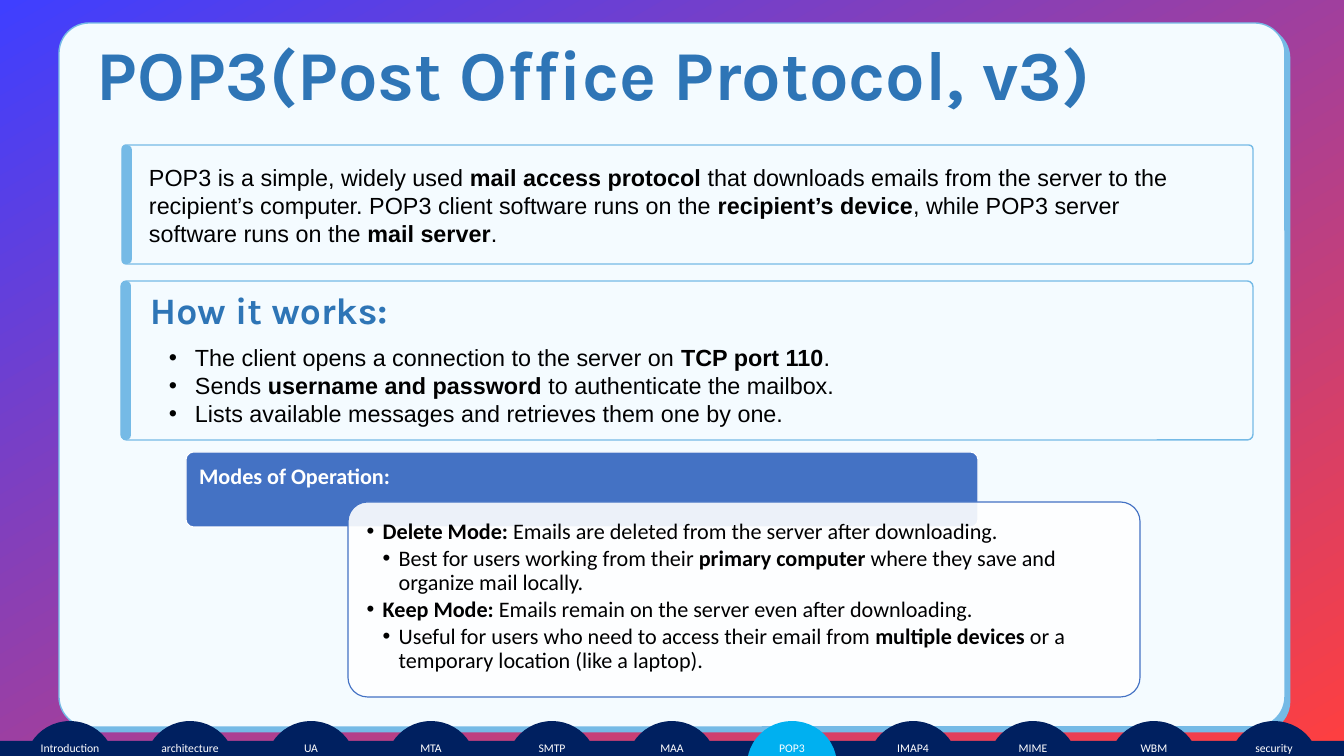
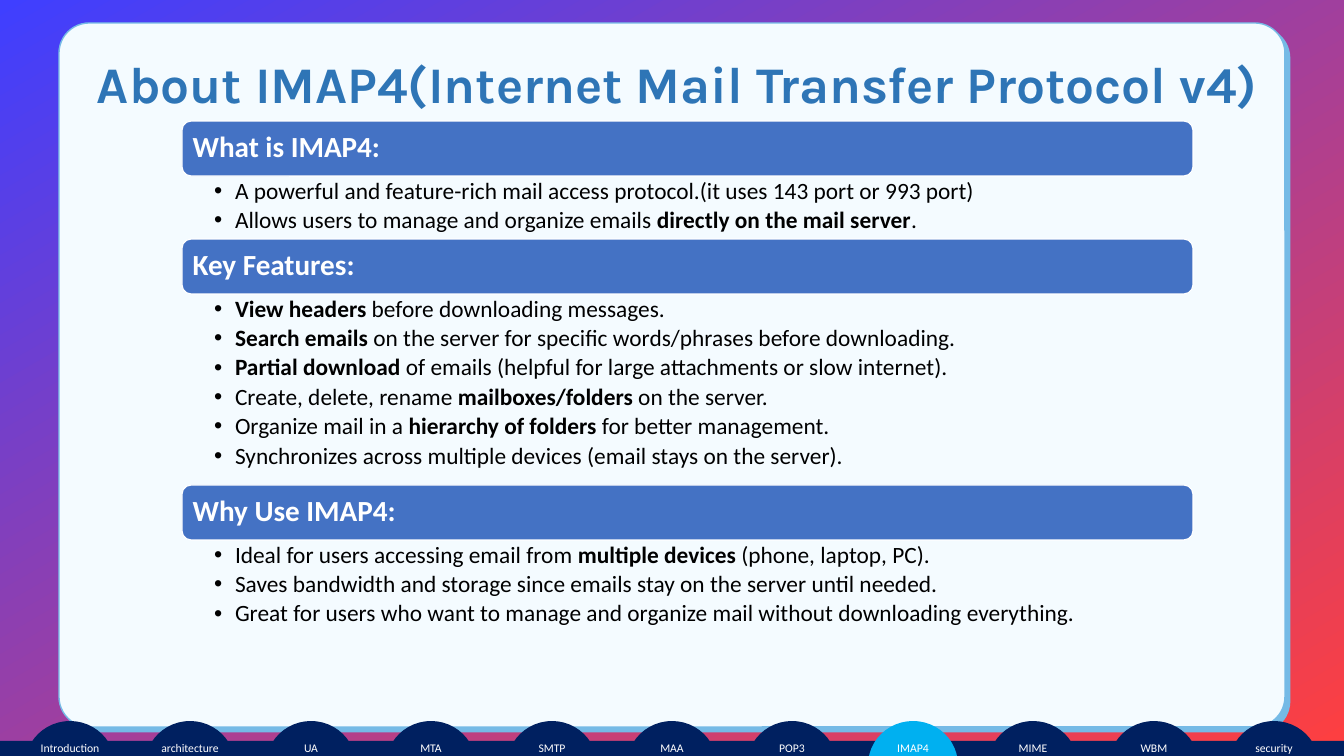
from itertools import repeat

from lxml import etree
from pptx import Presentation
from pptx import util as u
from pptx.dml.color import RGBColor
from pptx.enum import shapes, text
from pptx.oxml.ns import qn

SCALE = 914400 / 84  # EMU in one px
WIDTH, HEIGHT = 1344, 756

COLORS = {
    "back_start": "3F3FFF",
    "back_end": "FF3F3F",
    "card": "F4FBFF",
    "edge": "75BAE6",
    "heading": "2E75B6",
    "bar": "4472C4",
    "tab": "002060",
    "tab_active": "00B0F0",
    "white": "FFFFFF",
    "black": "000000",
}

TABS = ["Introduction", "architecture", "UA", "MTA", "SMTP", "MAA",
        "POP3", "IMAP4", "MIME", "WBM", "security"]
FIRST_TAB, LAST_TAB = 25, 1229
TITLE_LAYOUT = 5

ROUND = shapes.MSO_SHAPE.ROUNDED_RECTANGLE
RECT = shapes.MSO_SHAPE.RECTANGLE
OVAL = shapes.MSO_SHAPE.OVAL
LEFT, CENTER = text.PP_ALIGN.LEFT, text.PP_ALIGN.CENTER
TOP, MIDDLE = text.MSO_ANCHOR.TOP, text.MSO_ANCHOR.MIDDLE


# Helpers
def px(*lengths):
    return [u.Emu(round(length * SCALE)) for length in lengths]


def rgb(name):
    return RGBColor.from_string(COLORS[name])


def add_child(parent, tag, **attributes):
    child = etree.SubElement(parent, qn(tag))
    for key, value in attributes.items():
        child.set(key, str(value))
    return child


def write(frame, lines, size=20, font="Calibri", color="black", bold=False,
          align=LEFT, anchor=TOP, inset=(0, 0, 0, 0), wrap=True,
          spacing=None, after=None, hang=0, levels=repeat(1)):
    """Write one paragraph per line; **marks** set bold, hang adds bullets."""
    frame.auto_size = text.MSO_AUTO_SIZE.NONE
    frame.word_wrap = wrap
    frame.vertical_anchor = anchor
    (frame.margin_left, frame.margin_top,
     frame.margin_right, frame.margin_bottom) = px(*inset)
    for number, (line, level) in enumerate(zip(lines, levels)):
        para = frame.add_paragraph() if number else frame.paragraphs[0]
        if hang:
            margin, indent = px(hang * level, -hang)
            properties = para._p.get_or_add_pPr()
            properties.set("marL", str(margin))
            properties.set("indent", str(indent))
            add_child(properties, "a:buFont", typeface="Arial")
            add_child(properties, "a:buChar", char="•")
        para.alignment = align
        if spacing:
            para.line_spacing = spacing
        if after:
            para.space_after = u.Pt(after)
        for part, words in enumerate(line.split("**")):
            if words:
                span = para.add_run()
                span.text = words
                span.font.size = u.Pt(size)
                span.font.name = font
                span.font.bold = bold or part % 2 == 1
                span.font.color.rgb = rgb(color)


def add_shape(page, kind, place, fill, line=None, weight=1, radius=None):
    shape = page.shapes.add_shape(kind, *px(*place))
    shape.shadow.inherit = False
    shape.fill.solid()
    shape.fill.fore_color.rgb = rgb(fill)
    if line:
        shape.line.color.rgb = rgb(line)
        shape.line.width = u.Pt(weight)
    else:
        shape.line.fill.background()
    if radius is not None:
        shape.adjustments[0] = radius
    return shape


def add_text(page, place, lines, **form):
    box = page.shapes.add_textbox(*px(*place))
    write(box.text_frame, lines, **form)


def add_panel(page, left, top, width, height):
    """Outlined box with a thick left edge."""
    add_shape(page, ROUND, (left, top, width, height), "card",
              line="edge", weight=1.2, radius=0.035)
    add_shape(page, ROUND, (left, top, 10, height), "edge", radius=0.5)


# Parts on every slide
def set_background(deck):
    fill = deck.slide_master.background.fill
    fill.gradient()
    fill.gradient_angle = 300
    for stop, name, position in zip(fill.gradient_stops,
                                    ("back_start", "back_end"), (0, 1)):
        stop.color.rgb = rgb(name)
        stop.position = position


def add_page(deck, heading, size):
    page = deck.slides.add_slide(deck.slide_layouts[TITLE_LAYOUT])
    title = page.shapes.title
    title.left, title.top, title.width, title.height = px(97, 79, 1180, 35)
    write(title.text_frame, [heading], size=size, font="Karla",
          color="heading", bold=True, wrap=False, spacing=u.Pt(30))

    card = add_shape(page, ROUND, (59, 23, 1226, 704), "card",
                     line="edge", weight=1.2, radius=0.043)
    effects = card.element.spPr.find(qn("a:effectLst"))
    shadow = add_child(effects, "a:outerShdw", dist=u.Pt(5.7), dir=45 * 60000,
                       algn="tl", rotWithShape=0)
    add_child(shadow, "a:srgbClr", val=COLORS["edge"])
    title.element.addprevious(card.element)  # card lies behind the title
    return page


def add_tabs(page, active):
    add_shape(page, RECT, (0, 741, WIDTH, 15), "tab")
    step = (LAST_TAB - FIRST_TAB) / (len(TABS) - 1)
    for number, name in enumerate(TABS):
        left = round(FIRST_TAB + number * step)
        tab = add_shape(page, OVAL, (left, 721, 90, 88),
                        "tab_active" if name == active else "tab")
        write(tab.text_frame, [name], size=10, color="white", align=CENTER,
              inset=(0, 7, 0, 0), wrap=False)


# Slides
def build_pop3(deck):
    page = add_page(deck, "POP3(Post Office Protocol, v3)", 60)

    # Modes of operation
    bar = add_shape(page, ROUND, (186, 452, 792, 75), "bar",
                    line="white", radius=0.1)
    write(bar.text_frame, ["Modes of Operation:"], size=19, color="white",
          bold=True, inset=(11, 11, 11, 7), spacing=0.9)
    modes = add_shape(page, ROUND, (348, 502, 792, 195), "white",
                      line="bar", radius=0.1)
    fill_color = modes.element.spPr.find(qn("a:solidFill"))[0]
    add_child(fill_color, "a:alpha", val=90000)
    write(modes.text_frame, [
        "**Delete Mode:** Emails are deleted from the server after downloading.",
        "Best for users working from their **primary computer** where they "
        "save and organize mail locally.",
        "**Keep Mode:** Emails remain on the server even after downloading.",
        "Useful for users who need to access their email from "
        "**multiple devices** or a temporary location (like a laptop).",
    ], size=19, inset=(13, 13, 13, 13), spacing=0.9, after=2.6,
        hang=16, levels=(1, 2, 1, 2))

    # Definition
    add_panel(page, 122, 145, 1131, 119)
    add_text(page, (141, 159, 1060, 93), [
        "POP3 is a simple, widely used **mail access protocol** that downloads "
        "emails from the server to the recipient’s computer. POP3 client "
        "software runs on the **recipient’s device**, while POP3 server "
        "software runs on the **mail server**.",
    ], font="Arial", inset=(8, 4, 8, 4))

    # How it works
    add_panel(page, 121, 281, 1132, 159)
    add_text(page, (161, 339, 710, 93), [
        "The client opens a connection to the server on **TCP port 110**.",
        "Sends **username and password** to authenticate the mailbox.",
        "Lists available messages and retrieves them one by one.",
    ], font="Arial", inset=(8, 4, 8, 4), hang=26)
    add_text(page, (150, 311, 287, 12), ["How it works:"], size=32,
             font="Karla", color="heading", bold=True, wrap=False,
             spacing=u.Pt(18))

    add_tabs(page, "POP3")


def add_section(page, top, height, heading, lines):
    bar = add_shape(page, ROUND, (182, top, 1011, 55), "bar", line="white")
    write(bar.text_frame, [heading], size=25, color="white", bold=True,
          anchor=MIDDLE, inset=(8, 8, 8, 8), spacing=0.9)
    add_text(page, (182, top + 55, 1011, height), lines,
             inset=(32, 3, 16, 3), spacing=0.9, after=3.6, hang=21)


def build_imap4(deck):
    page = add_page(
        deck, "About IMAP4(Internet Mail Transfer Protocol v4)", 44)
    add_section(page, 121, 63, "What is IMAP4:", [
        "A powerful and feature-rich mail access protocol."
        "(it uses 143 port or 993 port)",
        "Allows users to manage and organize emails "
        "**directly on the mail server**.",
    ])
    add_section(page, 239, 190, "Key Features:", [
        "**View headers** before downloading messages.",
        "**Search emails** on the server for specific words/phrases before "
        "downloading.",
        "**Partial download** of emails (helpful for large attachments or "
        "slow internet).",
        "Create, delete, rename **mailboxes/folders** on the server.",
        "Organize mail in a **hierarchy of folders** for better management.",
        "Synchronizes across multiple devices (email stays on the server).",
    ])
    add_section(page, 485, 95, "Why Use IMAP4:", [
        "Ideal for users accessing email from **multiple devices** "
        "(phone, laptop, PC).",
        "Saves bandwidth and storage since emails stay on the server until "
        "needed.",
        "Great for users who want to manage and organize mail without "
        "downloading everything.",
    ])
    add_tabs(page, "IMAP4")


def main():
    deck = Presentation()
    deck.slide_width, deck.slide_height = px(WIDTH, HEIGHT)
    set_background(deck)
    build_pop3(deck)
    build_imap4(deck)
    deck.save("out.pptx")


if __name__ == "__main__":
    main()
